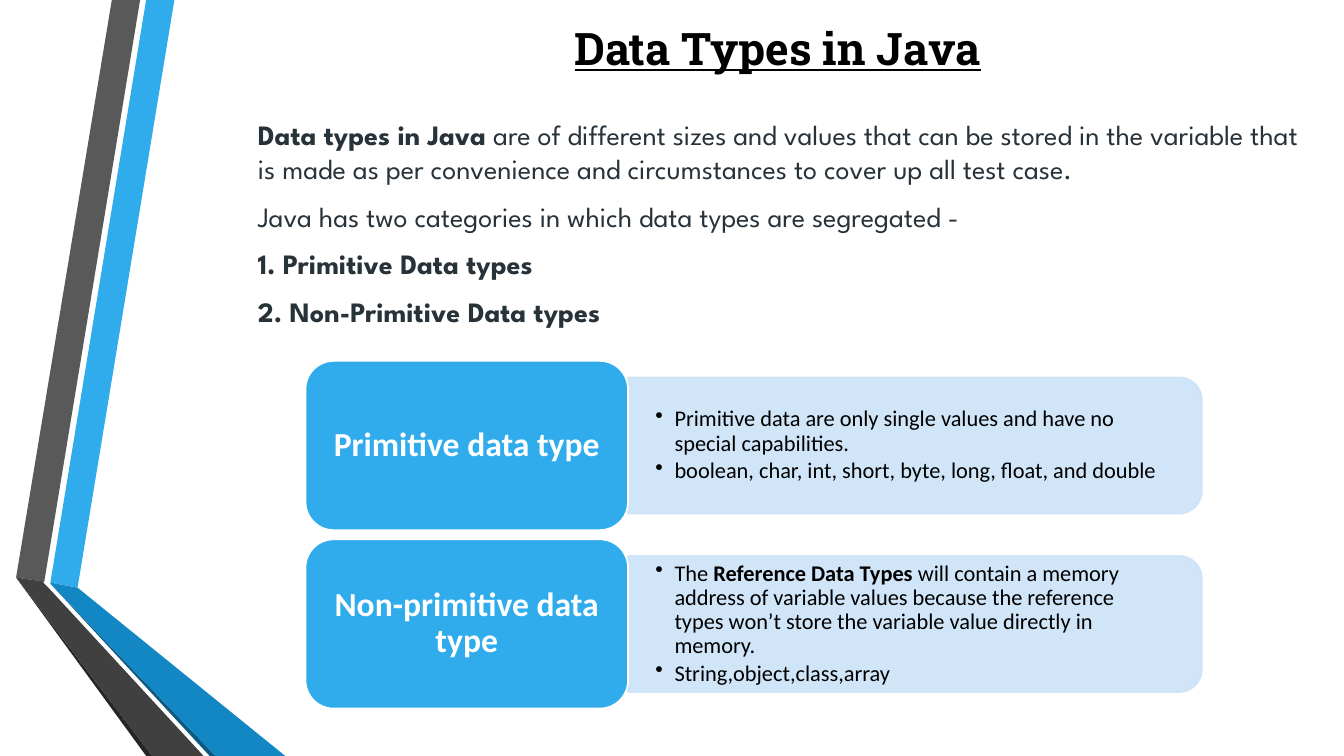
from lxml import etree
from pptx import Presentation, util as u
from pptx.dml.color import RGBColor
from pptx.enum import shapes, text
from pptx.oxml.ns import qn

BLUE = RGBColor(0x30, 0xAC, 0xEC)
PALE = RGBColor(0xCD, 0xE3, 0xF8)
GRAY = RGBColor(0x59, 0x59, 0x59)
DARK = RGBColor(0x40, 0x40, 0x40)
SOOT = RGBColor(0x26, 0x26, 0x26)
NAVY = RGBColor(0x0C, 0x5A, 0x82)
DEEP = RGBColor(0x12, 0x87, 0xC3)
INK = RGBColor(0x27, 0x32, 0x39)
BLACK = RGBColor(0, 0, 0)
WHITE = RGBColor(255, 255, 255)

# Each paragraph is a list of (words, bold) runs.
TITLE = [[("Data Types in Java", True)]]
INTRO = [
    [("Data types in Java", True),
     ("\u00a0are of different sizes and values that can be stored in the "
      "variable that is made as per convenience and circumstances to cover "
      "up all test case.", False)],
    [("Java has two categories in which data types are segregated -\u00a0",
      False)],
    [("1. Primitive Data types", True)],
    [("2. Non-Primitive Data types", True)],
]
ROWS = [
    ("Primitive data type", [
        [("Primitive data are only single values and have no special "
          "capabilities.", False)],
        [("boolean, char, int, short, byte, long, float, and double", False)],
    ]),
    ("Non-primitive data type", [
        [("The\u00a0", False), ("Reference Data Types", True),
         ("\u00a0will contain a memory address of variable values because "
          "the reference types won\u2019t store the variable value directly "
          "in memory.", False)],
        [("String,object,class,array ", False)],
    ]),
]
BANDS = [
    (BLUE, [(0.5, 5.78), (0.77, 5.83), (1.73, 0), (1.45, 0)]),
    (GRAY, [(1.39, 0), (1.11, 0), (0.16, 5.73), (0.44, 5.77)]),
    (SOOT, [(0.16, 5.73), (1.45, 7.5), (1.51, 7.5)]),
    (NAVY, [(0.5, 5.79), (2.08, 7.5), (2.14, 7.5)]),
    (DEEP, [(0.5, 5.79), (2.14, 7.5), (2.83, 7.5), (0.77, 5.83),
            (0.5, 5.78)]),
    (DARK, [(2.02, 7.5), (0.48, 5.83), (0.43, 5.78), (0.44, 5.77),
            (0.16, 5.73), (1.51, 7.5)]),
]

TOP, PITCH = 3.58, 1.77       # first row and row step
LEFT, WIDE, TALL = 3.03, 3.2, 1.68   # label box
LONG, THICK = 5.69, 1.35      # detail panel
MID = LEFT + WIDE             # where label meets panel


def paint(shape, fill, line=None, alpha=None):
    """Set fill and outline, with optional opacity in percent."""
    shape.shadow.inherit = False
    shape.fill.solid()
    shape.fill.fore_color.rgb = fill
    if line is None:
        shape.line.fill.background()
    else:
        shape.line.color.rgb = line
        shape.line.width = u.Pt(1.25)
    if alpha:
        for clr in shape._element.spPr.iter(qn("a:srgbClr")):
            etree.SubElement(clr, qn("a:alpha"), val=str(alpha * 1000))


def write(shape, paras, size, font, color, align=text.PP_ALIGN.LEFT,
          anchor=text.MSO_ANCHOR.TOP, pad=(0.1, 0.05), before=0, after=0,
          lead=1.0, under=False, bullet=False):
    """Fill a shape with formatted paragraphs."""
    frame = shape.text_frame
    frame.word_wrap = True
    frame.auto_size = text.MSO_AUTO_SIZE.NONE
    frame.vertical_anchor = anchor
    frame.margin_left = frame.margin_right = u.Inches(pad[0])
    frame.margin_top = frame.margin_bottom = u.Inches(pad[1])
    for i, runs in enumerate(paras):
        para = frame.add_paragraph() if i else frame.paragraphs[0]
        para.alignment, para.line_spacing = align, lead
        para.space_before, para.space_after = u.Pt(before), u.Pt(after)
        if bullet:
            props = para._p.get_or_add_pPr()
            props.set("marL", str(u.Inches(0.19)))
            props.set("indent", str(u.Inches(-0.19)))
            etree.SubElement(props, qn("a:buChar"), char="\u2022")
        for words, bold in runs:
            run = para.add_run()
            run.text = words
            run.font.name, run.font.size = font, u.Pt(size)
            run.font.bold, run.font.underline = bold, under
            run.font.color.rgb = color


def place(make, *box):
    """Call a shape maker with a box given in inches."""
    return make(*(u.Inches(n) for n in box))


deck = Presentation()
deck.slide_width, deck.slide_height = u.Inches(13.33), u.Inches(7.5)
slide = deck.slides.add_slide(deck.slide_layouts[6])
tree = slide.shapes


def preset(kind, *box):
    """Add a preset shape at a box in inches."""
    return place(lambda *b: tree.add_shape(kind, *b), *box)


for color, points in BANDS:
    start, *rest = [(u.Inches(x), u.Inches(y)) for x, y in points]
    pen = tree.build_freeform(*start)
    pen.add_line_segments(rest, close=True)
    paint(pen.convert_to_shape(), color)

write(place(tree.add_textbox, 2.46, 0.16, 10.51, 0.81), TITLE, 32,
      "Roboto Slab", BLACK, align=text.PP_ALIGN.CENTER, under=True)
write(place(tree.add_textbox, 2.46, 1.12, 10.76, 6.23), INTRO, 20,
      "League Spartan", INK, before=4, after=6)

KIND = shapes.MSO_SHAPE
for i, (name, facts) in enumerate(ROWS):
    top = TOP + i * PITCH
    mid = top + TALL / 2
    panel = preset(KIND.ROUND_2_SAME_RECTANGLE, MID + (LONG - THICK) / 2,
                   mid - LONG / 2, THICK, LONG)
    panel.rotation = 90
    paint(panel, PALE, PALE, alpha=90)
    write(place(tree.add_textbox, MID, mid - 0.61, 5.62, 1.22), facts, 16,
          "Calibri", BLACK, anchor=text.MSO_ANCHOR.MIDDLE, pad=(0.27, 0.14),
          after=2.4, lead=0.9, bullet=True)
    label = preset(KIND.ROUNDED_RECTANGLE, LEFT, top, WIDE, TALL)
    paint(label, BLUE, WHITE)
    write(label, [[(name, True)]], 24, "Calibri", WHITE,
          align=text.PP_ALIGN.CENTER, anchor=text.MSO_ANCHOR.MIDDLE,
          after=8.4, lead=0.9)

deck.save("out.pptx")
